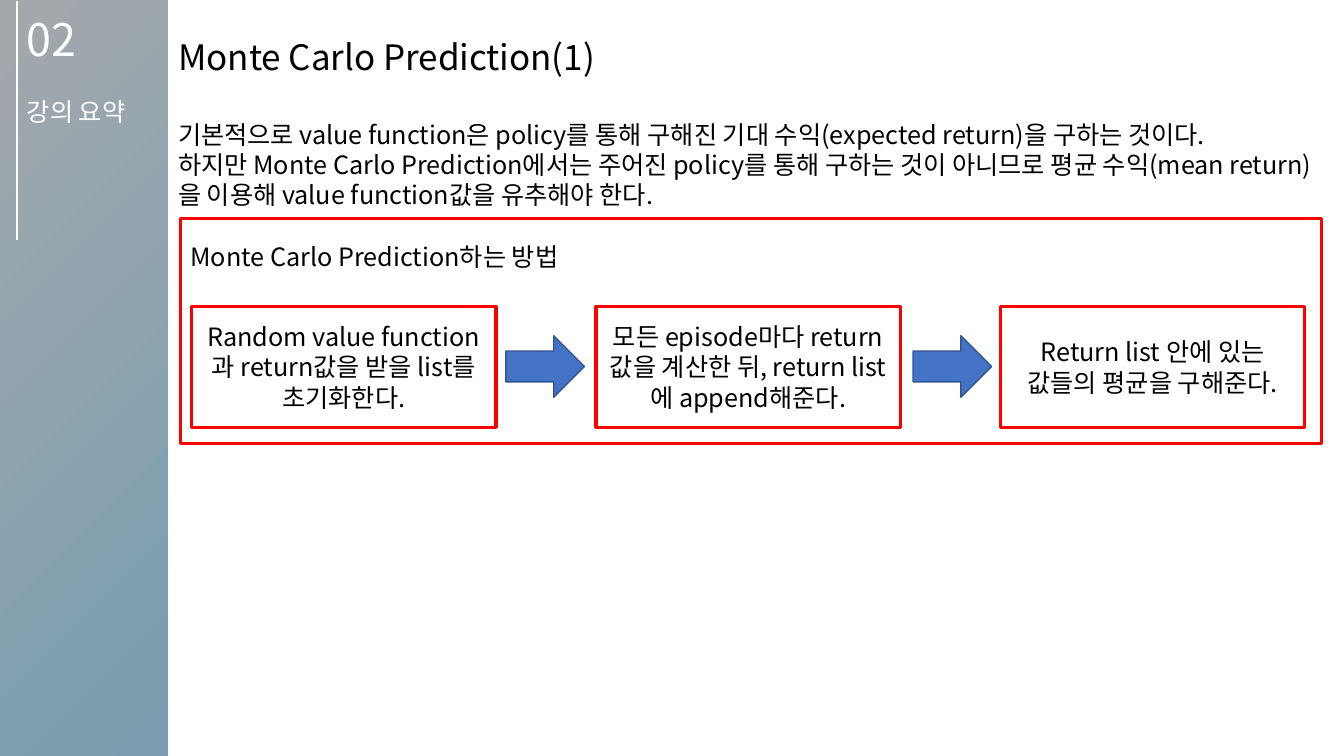
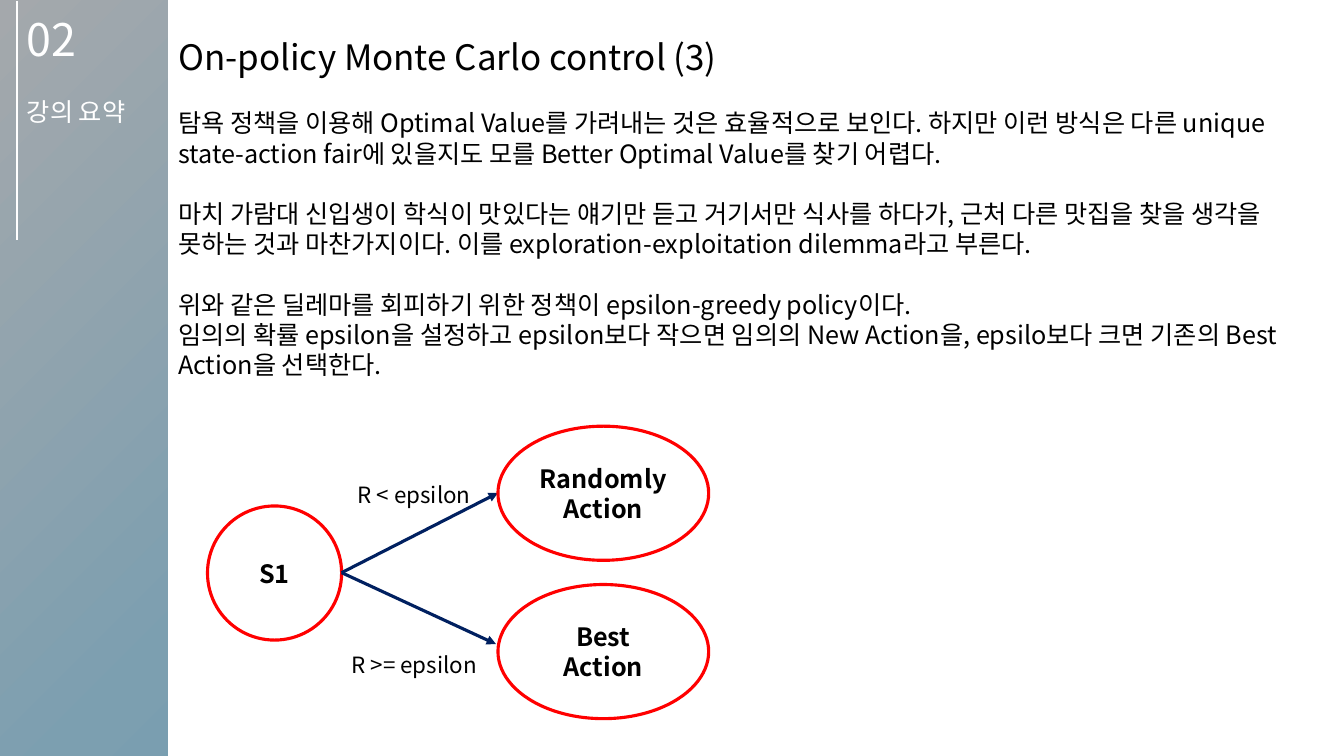
from lxml import etree
from pptx import Presentation
from pptx.dml.color import RGBColor
from pptx.enum.shapes import MSO_CONNECTOR as LINE, MSO_SHAPE as SHAPE
from pptx.enum.text import MSO_ANCHOR as ANCHOR, MSO_AUTO_SIZE as FIT, PP_ALIGN as ALIGN
from pptx.oxml import parse_xml
from pptx.oxml.ns import qn
from pptx.util import Cm, Pt

FONT = "Noto Sans CJK KR"
WHITE = RGBColor(0xFF, 0xFF, 0xFF)
BLACK = RGBColor(0, 0, 0)
RED = RGBColor(0xFF, 0, 0)
NAVY = RGBColor(0x00, 0x20, 0x60)
BLUE = RGBColor(0x44, 0x72, 0xC4)
BLUE_EDGE = RGBColor(0x32, 0x54, 0x91)
BACKDROP = [(0, "A4A8AC"), (39, "7C9FB0"), (100, "4990B1")]
PANEL_LEFT, PANEL_WIDTH = Cm(4.24), Cm(29.63)
LINE_GAP = Pt(21.5)


def write(box, lines, size=18, color=BLACK, align=ALIGN.LEFT, anchor=ANCHOR.MIDDLE, bold=False):
    """Fill a shape with one paragraph per (text, space before) pair."""
    frame = box.text_frame
    frame.word_wrap = True
    frame.auto_size = FIT.NONE
    frame.vertical_anchor = anchor
    for index, (text, gap) in enumerate(lines):
        para = frame.paragraphs[0] if index == 0 else frame.add_paragraph()
        para.alignment = align
        para.space_before = gap
        span = para.add_run()
        span.text = text
        span.font.size = Pt(size)
        span.font.bold = bold
        span.font.color.rgb = color
        span.font.name = FONT
        latin = span.font._element.find(qn("a:latin"))
        east_asian = etree.Element(qn("a:ea"), typeface=FONT)
        latin.addnext(east_asian)


def draw(page, kind, place, fill=WHITE, edge=RED, weight=2.25):
    """Add a flat preset shape; None leaves out the fill or the edge."""
    shape = page.shapes.add_shape(kind, *place)
    shape.shadow.inherit = False
    if fill is None:
        shape.fill.background()
    else:
        shape.fill.solid()
        shape.fill.fore_color.rgb = fill
    if edge is None:
        shape.line.fill.background()
    else:
        shape.line.color.rgb = edge
        shape.line.width = Pt(weight)
    return shape


deck = Presentation()
deck.slide_width, deck.slide_height = Cm(33.87), Cm(19.05)

# Shared backdrop, panel, sidebar and title
backdrop_fill = deck.slide_master.background.fill
backdrop_fill.gradient()
gradient = deck.slide_master.element.find(".//" + qn("p:bgPr")).find(qn("a:gradFill"))
stops = "".join(f'<a:gs pos="{at * 1000}"><a:srgbClr val="{color}"/></a:gs>' for at, color in BACKDROP)
radial = parse_xml(
    '<a:gradFill xmlns:a="http://schemas.openxmlformats.org/drawingml/2006/main" rotWithShape="1">'
    f'<a:gsLst>{stops}</a:gsLst><a:path path="circle">'
    '<a:fillToRect r="100000" b="100000"/></a:path></a:gradFill>')
gradient.getparent().replace(gradient, radial)

pages = []
for heading in ["Monte Carlo Prediction(1)", "On-policy Monte Carlo control (3)"]:
    page = deck.slides.add_slide(deck.slide_layouts[5])
    title = page.shapes.title
    panel = draw(page, SHAPE.RECTANGLE, (PANEL_LEFT, 0, PANEL_WIDTH, deck.slide_height), edge=None)
    title.element.addprevious(panel.element)
    title.left, title.top, title.width, title.height = PANEL_LEFT, Cm(0.78), PANEL_WIDTH, Cm(1.32)
    write(title, [(heading, 0)], size=25, anchor=ANCHOR.TOP)

    rule = page.shapes.add_connector(LINE.STRAIGHT, Cm(0.43), Cm(0.03), Cm(0.43), Cm(6.05))
    rule.line.color.rgb = WHITE
    rule.line.width = Pt(1.5)
    etree.SubElement(rule.element.spPr, qn("a:effectLst"))
    sidebar = page.shapes.add_textbox(Cm(0.43), 0, Cm(3.56), Cm(3.48))
    write(sidebar, [("02", 0), ("강의 요약", LINE_GAP)], color=WHITE)
    sidebar.text_frame.paragraphs[0].runs[0].font.size = Pt(32)
    pages.append(page)

prediction, control = pages

# Prediction: introduction and three steps in a frame
intro = prediction.shapes.add_textbox(PANEL_LEFT, Cm(2.88), PANEL_WIDTH, Cm(2.54))
write(intro, [
    ("기본적으로 value function은 policy를 통해 구해진 기대 수익(expected return)을 구하는 것이다.", 0),
    ("하지만 Monte Carlo Prediction에서는 주어진 policy를 통해 구하는 것이 아니므로 "
     "평균 수익(mean return)을 이용해 value function값을 유추해야 한다.", 0),
], anchor=ANCHOR.TOP)

method = draw(prediction, SHAPE.RECTANGLE, (Cm(4.55), Cm(5.51), Cm(28.75), Cm(5.66)), fill=None)
method.text_frame.margin_top = Cm(0.56)
write(method, [("Monte Carlo Prediction하는 방법", 0)], anchor=ANCHOR.TOP)

steps = [
    "Random value function과 return값을 받을 list를 초기화한다.",
    "모든 episode마다 return값을 계산한 뒤, return list에 append해준다.",
    "Return list 안에 있는 값들의 평균을 구해준다.",
]
for index, text in enumerate(steps):
    step = draw(prediction, SHAPE.RECTANGLE, (Cm(4.83 + 10.19 * index), Cm(7.72), Cm(7.67), Cm(3.05)))
    write(step, [(text, 0)], align=ALIGN.CENTER)
for index in range(len(steps) - 1):
    draw(prediction, SHAPE.RIGHT_ARROW, (Cm(12.75 + 10.26 * index), Cm(8.46), Cm(1.98), Cm(1.55)),
         fill=BLUE, edge=BLUE_EDGE, weight=1)

# Control: explanation and the epsilon-greedy choice
explanation = control.shapes.add_textbox(PANEL_LEFT, Cm(2.59), PANEL_WIDTH, Cm(7.2))
write(explanation, [
    ("탐욕 정책을 이용해 Optimal Value를 가려내는 것은 효율적으로 보인다. 하지만 이런 방식은 다른 "
     "unique state-action fair에 있을지도 모를 Better Optimal Value를 찾기 어렵다.", 0),
    ("마치 가람대 신입생이 학식이 맛있다는 얘기만 듣고 거기서만 식사를 하다가, 근처 다른 맛집을 찾을 "
     "생각을 못하는 것과 마찬가지이다. 이를 exploration-exploitation dilemma라고 부른다.", LINE_GAP),
    ("위와 같은 딜레마를 회피하기 위한 정책이 epsilon-greedy policy이다.", LINE_GAP),
    ("임의의 확률 epsilon을 설정하고 epsilon보다 작으면 임의의 New Action을, "
     "epsilo보다 크면 기존의 Best Action을 선택한다.", 0),
], anchor=ANCHOR.TOP)

state = draw(control, SHAPE.OVAL, (Cm(5.23), Cm(12.75), Cm(3.38), Cm(3.38)))
write(state, [("S1", 0)], align=ALIGN.CENTER, bold=True)

branches = [
    (["Randomly", "Action"], 10.74, "R < epsilon", 11.61, (12.55, 12.42)),
    (["Best Action"], 14.73, "R >= epsilon", 15.9, (12.5, 16.23)),
]
for names, action_top, condition, label_top, (tip_x, tip_y) in branches:
    arrow = control.shapes.add_connector(LINE.STRAIGHT, Cm(8.61), Cm(14.43), Cm(tip_x), Cm(tip_y))
    arrow.line.color.rgb = NAVY
    arrow.line.width = Pt(2.25)
    etree.SubElement(arrow.line._get_or_add_ln(), qn("a:tailEnd"), type="triangle")
    etree.SubElement(arrow.element.spPr, qn("a:effectLst"))
    label = control.shapes.add_textbox(Cm(8.18), Cm(label_top), Cm(4.52), Cm(1.68))
    write(label, [(condition, 0)], size=16, align=ALIGN.CENTER)
    action = draw(control, SHAPE.OVAL, (Cm(12.55), Cm(action_top), Cm(5.31), Cm(3.38)))
    write(action, [(name, 0) for name in names], align=ALIGN.CENTER, bold=True)

deck.save("out.pptx")
